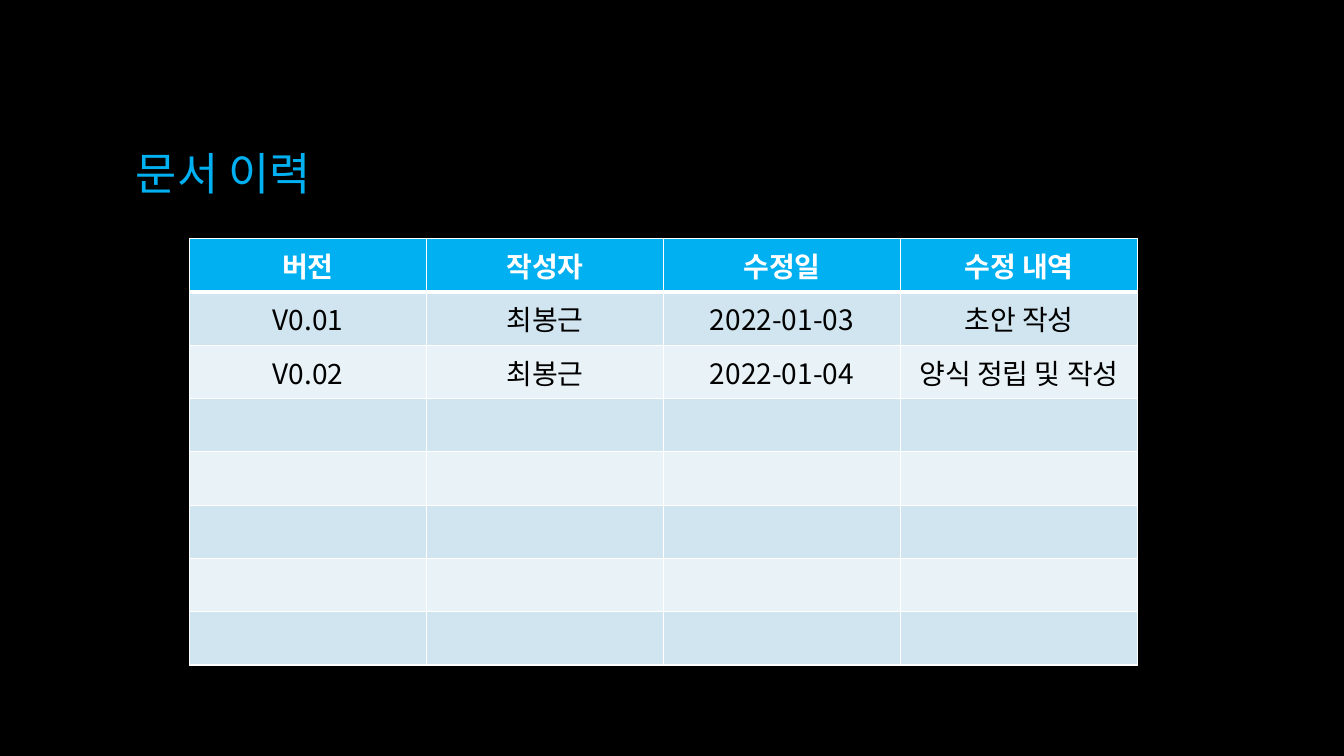
from lxml.etree import SubElement
from pptx import Presentation
from pptx.dml.color import RGBColor
from pptx.enum.text import MSO_ANCHOR, PP_ALIGN
from pptx.oxml import parse_xml
from pptx.oxml.ns import nsdecls, qn
from pptx.util import Pt

FONT = "Noto Sans CJK KR"
COLORS = {
    "background": "000000",
    "accent": "00B0F0",
    "white": "FFFFFF",
    "text": "000000",
    "odd_row": "D0E5EF",
    "even_row": "E9F3F7",
}
HEADERS = ["버전", "작성자", "수정일", "수정 내역"]
REVISIONS = [
    ["V0.01", "최봉근", "2022-01-03", "초안 작성"],
    ["V0.02", "최봉근", "2022-01-04", "양식 정립 및 작성"],
]
EMPTY_ROWS = 5


def color(name):
    """Return the named colour."""
    return RGBColor.from_string(COLORS[name])


def format_runs(paragraph, size, color_name, bold=False):
    """Set the font of every run, for Latin and Korean letters."""
    for run in paragraph.runs:
        run.font.size = Pt(size)
        run.font.bold = bold
        run.font.color.rgb = color(color_name)
        run.font.name = FONT
        SubElement(run.font._element, qn("a:ea"), typeface=FONT)


def set_borders(cell, top, bottom):
    """Draw white cell borders with the given top and bottom widths."""
    properties = cell._tc.get_or_add_tcPr()
    widths = {"lnL": 1, "lnR": 1, "lnT": top, "lnB": bottom}
    for index, (side, width) in enumerate(widths.items()):
        properties.insert(index, parse_xml(
            f'<a:{side} {nsdecls("a")} w="{Pt(width)}"><a:solidFill>'
            f'<a:srgbClr val="{COLORS["white"]}"/></a:solidFill></a:{side}>'))


def add_title(slide, text, left, top, width, height):
    """Add the slide title, centred vertically in its box."""
    shape = slide.shapes.add_textbox(Pt(left), Pt(top), Pt(width), Pt(height))
    text_frame = shape.text_frame
    text_frame.word_wrap = True
    text_frame.vertical_anchor = MSO_ANCHOR.MIDDLE
    text_frame.text = text
    format_runs(text_frame.paragraphs[0], 32, "accent")


def add_history_table(slide, left, top, width, height):
    """Add the revision table with equal columns and rows."""
    rows = [HEADERS] + REVISIONS + [[""] * len(HEADERS)] * EMPTY_ROWS
    table = slide.shapes.add_table(
        len(rows), len(HEADERS), Pt(left), Pt(top), Pt(width), Pt(height)).table
    for row_index, values in enumerate(rows):
        header = row_index == 0
        fill = "accent" if header else "odd_row" if row_index % 2 else "even_row"
        for column_index, value in enumerate(values):
            cell = table.cell(row_index, column_index)
            cell.fill.solid()
            cell.fill.fore_color.rgb = color(fill)
            cell.vertical_anchor = MSO_ANCHOR.MIDDLE
            set_borders(cell, 3 if row_index == 1 else 1, 3 if header else 1)
            cell.text_frame.text = value
            paragraph = cell.text_frame.paragraphs[0]
            paragraph.alignment = PP_ALIGN.CENTER
            format_runs(paragraph, 20, "white" if header else "text", header)


def main():
    """Build and save the document history slide."""
    presentation = Presentation()
    presentation.slide_width = Pt(960)
    presentation.slide_height = Pt(540)
    slide = presentation.slides.add_slide(presentation.slide_layouts[6])
    slide.background.fill.solid()
    slide.background.fill.fore_color.rgb = color("background")
    add_title(slide, "문서 이력", 90, 48, 780, 150)
    add_history_table(slide, 135.3, 170.5, 677.3, 304.6)
    presentation.save("out.pptx")


if __name__ == "__main__":
    main()
